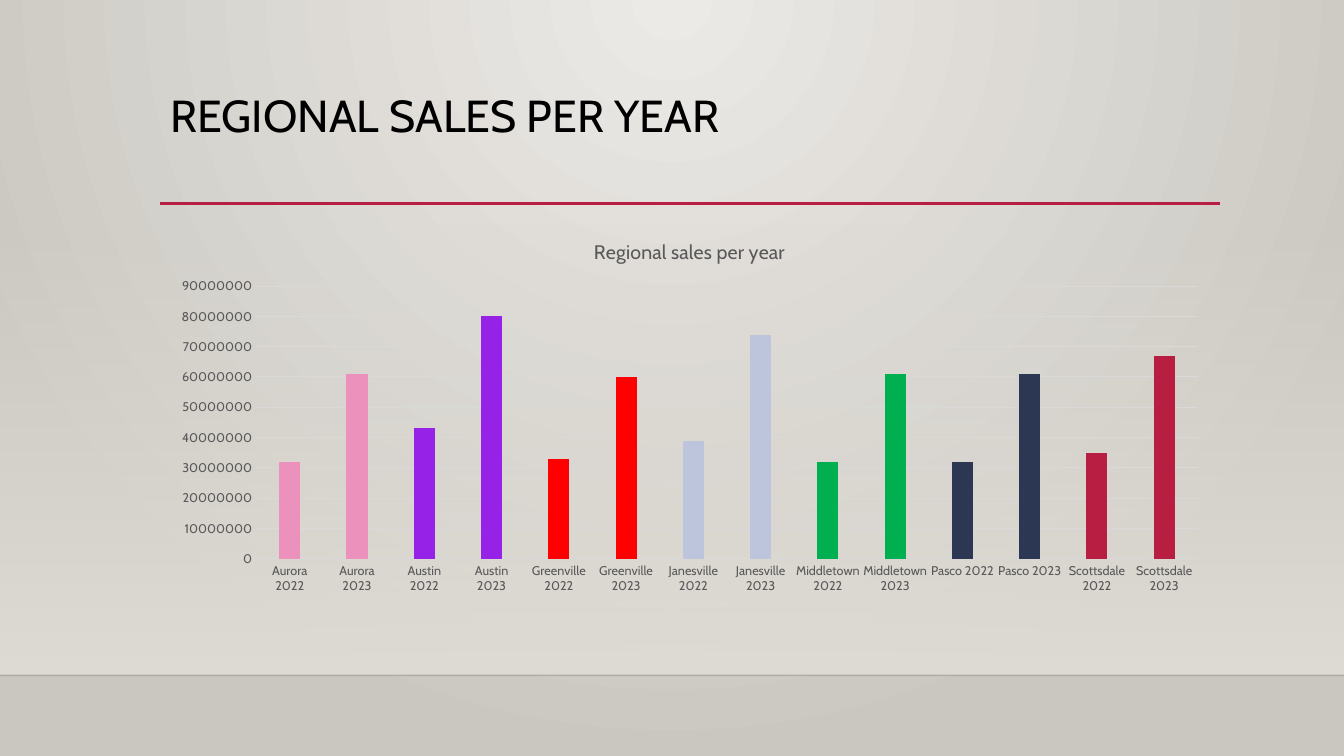
"""Build the regional sales per year slide."""
from lxml.etree import SubElement
from pptx import Presentation
from pptx.chart.data import CategoryChartData
from pptx.dml.color import RGBColor
from pptx.enum.chart import XL_CHART_TYPE, XL_TICK_MARK
from pptx.enum.shapes import MSO_CONNECTOR, MSO_SHAPE
from pptx.enum.text import MSO_ANCHOR, MSO_AUTO_SIZE, PP_ALIGN
from pptx.oxml.ns import qn
from pptx.util import Inches, Pt

TITLE = "REGIONAL SALES PER YEAR"
CHART_TITLE = "Regional sales per year"
FONT = "Cabin"
YEARS = (2022, 2023)
SALES_IN_MILLIONS = {
    "Aurora": (32, 61),
    "Austin": (43, 80),
    "Greenville": (33, 60),
    "Janesville": (39, 74),
    "Middletown": (32, 61),
    "Pasco": (32, 61),
    "Scottsdale": (35, 67),
}
COLORS = {
    "Aurora": "EB91BB",
    "Austin": "9622E7",
    "Greenville": "FF0000",
    "Janesville": "BCC5DC",
    "Middletown": "00B050",
    "Pasco": "2C3753",
    "Scottsdale": "B71E42",
    "rule": "B71E42",
    "title": "000000",
    "label": "595959",
    "grid": "D9D9D9",
    "glow": "ECEAE7",
    "backdrop": "CAC7C1",
    "wall": "DFDBD5",
    "floor": "000001",
}
WIDTH, HEIGHT, FLOOR_TOP = 13.33, 7.5, 6.7
WALL_TOP = 2.21
CONTENT_LEFT, CONTENT_WIDTH = 1.59, 10.5
RULE_TOP, RULE_RIGHT = 2.02, 12.1


def color(name):
    return RGBColor.from_string(COLORS[name])


def set_alpha(color_element, percent):
    SubElement(color_element, qn("a:alpha"), val=str(percent * 1000))


def set_stops(gradient, stops):
    stop_list = gradient.find(qn("a:gsLst"))
    for old_stop in list(stop_list):
        stop_list.remove(old_stop)
    for position, name, alpha in stops:
        stop = SubElement(stop_list, qn("a:gs"), pos=str(position * 1000))
        stop_color = SubElement(stop, qn("a:srgbClr"), val=COLORS[name])
        if alpha < 100:
            set_alpha(stop_color, alpha)


def format_font(font, size, name):
    values = {"name": FONT, "size": Pt(size), "bold": False}
    for attribute, value in values.items():
        setattr(font, attribute, value)
    font.color.rgb = color(name)


def paint_background(slide):
    slide.background.fill.gradient()
    gradient = next(slide.element.iter(qn("a:gradFill")))
    set_stops(gradient, [(0, "glow", 100), (100, "backdrop", 100)])
    gradient.remove(gradient.find(qn("a:lin")))
    circle = SubElement(gradient, qn("a:path"), path="circle")
    SubElement(circle, qn("a:fillToRect"), l="43000", t="0", r="43000", b="100000")


def add_wall(slide):
    wall = slide.shapes.add_shape(
        MSO_SHAPE.RECTANGLE, 0, Inches(WALL_TOP), Inches(WIDTH), Inches(FLOOR_TOP - WALL_TOP)
    )
    wall.shadow.inherit = False
    wall.line.fill.background()
    wall.fill.gradient()
    gradient = next(wall.element.iter(qn("a:gradFill")))
    set_stops(gradient, [(0, "wall", 0), (100, "wall", 100)])
    gradient.find(qn("a:lin")).set("ang", str(90 * 60000))


def add_rule(slide, left, right, top, name, weight, alpha=100):
    rule = slide.shapes.add_connector(
        MSO_CONNECTOR.STRAIGHT, Inches(left), Inches(top), Inches(right), Inches(top)
    )
    rule.line.color.rgb = color(name)
    rule.line.width = Pt(weight)
    if alpha < 100:
        set_alpha(next(rule.element.iter(qn("a:srgbClr"))), alpha)
    SubElement(rule.element.spPr, qn("a:effectLst"))


def place_title(slide):
    title = slide.shapes.title
    place = {"left": CONTENT_LEFT, "top": 0.88, "width": CONTENT_WIDTH, "height": 1.15}
    for attribute, value in place.items():
        setattr(title, attribute, Inches(value))
    frame = title.text_frame
    frame.text = TITLE
    frame.vertical_anchor = MSO_ANCHOR.TOP
    frame.auto_size = MSO_AUTO_SIZE.NONE
    paragraph = frame.paragraphs[0]
    paragraph.alignment = PP_ALIGN.LEFT
    paragraph.line_spacing = 0.9
    format_font(paragraph.runs[0].font, 32, "title")


def add_sales_chart(slide):
    data = CategoryChartData()
    data.categories = [f"{city} {year}" for city in SALES_IN_MILLIONS for year in YEARS]
    values = [sale * 1000000 for sales in SALES_IN_MILLIONS.values() for sale in sales]
    data.add_series("Series 1", values)
    chart = slide.shapes.add_chart(
        XL_CHART_TYPE.COLUMN_CLUSTERED,
        Inches(CONTENT_LEFT), Inches(2.2), Inches(CONTENT_WIDTH), Inches(3.77), data,
    ).chart
    format_font(chart.font, 10, "title")
    chart.has_legend = False
    chart.has_title = True
    chart.chart_title.include_in_layout = False
    chart.chart_title.text_frame.text = CHART_TITLE
    format_font(chart.chart_title.text_frame.paragraphs[0].runs[0].font, 14, "label")

    for axis in (chart.category_axis, chart.value_axis):
        axis.major_tick_mark = axis.minor_tick_mark = XL_TICK_MARK.NONE
        format_font(axis.tick_labels.font, 9, "label")
    chart.value_axis.format.line.fill.background()
    for line in (chart.category_axis.format.line, chart.value_axis.major_gridlines.format.line):
        line.color.rgb = color("grid")
        line.width = Pt(0.75)

    plot = chart.plots[0]
    for attribute, value in {"gap_width": 219, "overlap": -27, "vary_by_categories": False}.items():
        setattr(plot, attribute, value)
    series = plot.series[0]
    series.format.fill.solid()
    series.format.fill.fore_color.rgb = color("Scottsdale")
    for index in range(len(values)):
        city = list(SALES_IN_MILLIONS)[index // len(YEARS)]
        fill = series.points[index].format.fill
        fill.solid()
        fill.fore_color.rgb = color(city)


def main():
    presentation = Presentation()
    presentation.slide_width = Inches(WIDTH)
    presentation.slide_height = Inches(HEIGHT)
    slide = presentation.slides.add_slide(presentation.slide_layouts[5])
    paint_background(slide)
    add_wall(slide)
    add_rule(slide, 0, WIDTH, FLOOR_TOP, "floor", 1, alpha=20)
    add_rule(slide, CONTENT_LEFT, RULE_RIGHT, RULE_TOP, "rule", 2.5)
    place_title(slide)
    add_sales_chart(slide)
    presentation.save("out.pptx")


if __name__ == "__main__":
    main()
